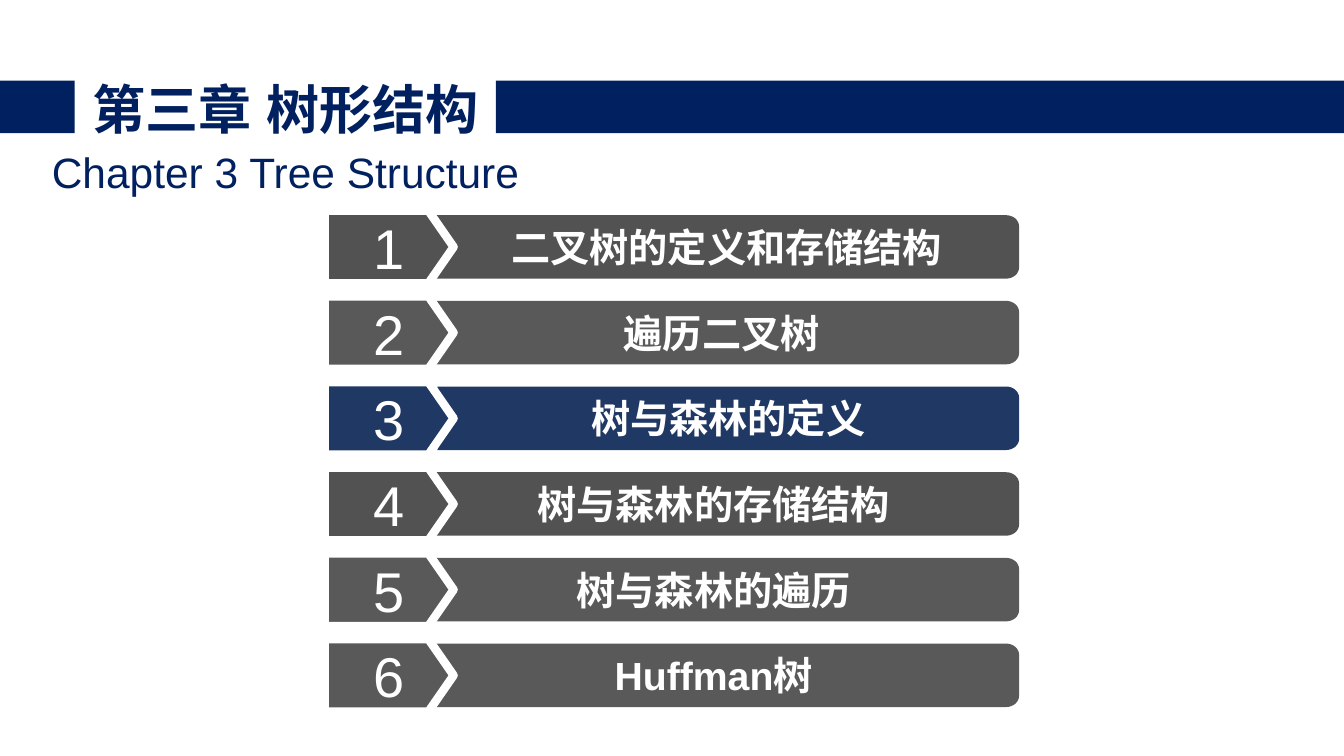
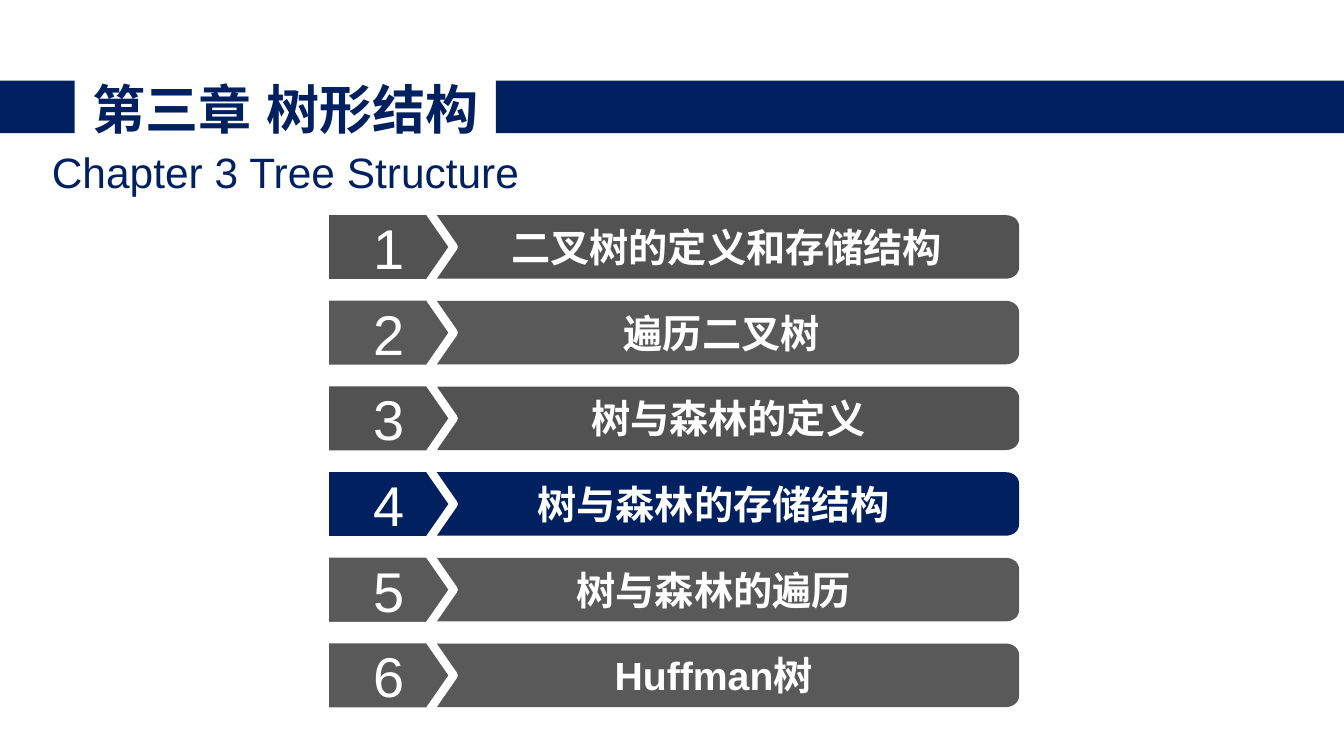
from dataclasses import dataclass
from math import cos, pi, sin

from lxml.etree import SubElement
from pptx import Presentation
from pptx.dml.color import RGBColor
from pptx.enum.shapes import MSO_SHAPE
from pptx.enum.text import MSO_ANCHOR, MSO_AUTO_SIZE, PP_ALIGN
from pptx.oxml.ns import qn
from pptx.util import Inches, Pt

# Grid: 75 rows on the slide's height and square cells
SLIDE_WIDTH, SLIDE_HEIGHT = Inches(13.333), Inches(7.5)
GRID_ROWS = 75
CELL = SLIDE_HEIGHT / GRID_ROWS
GRID_COLUMNS = SLIDE_WIDTH / CELL

# Shared style
FONT = "Arial"
NAVY, BLUE, WHITE = "002060", "203864", "FFFFFF"
DARK_GRAY, GRAY = "525252", "595959"

# Chapter list, in grid cells
FIRST_CENTER, ROW_PITCH = 24.5, 8.5
BAR_RIGHT, BAR_HEIGHT = 101.1, 6.3
CORNER_WIDTH, CORNER_HEIGHT, CORNER_STEPS = 1.3, 1.1, 8
TAG_LEFT, TAG_SHOULDER, TAG_TIP, TAG_HEIGHT = 32.2, 42.5, 45, 7.2


@dataclass(frozen=True)
class Section:
    title: str
    color: str = GRAY
    bar_left: float = 40.5
    indent: float = 0


@dataclass(frozen=True)
class Agenda:
    current: int
    highlight: str


SECTIONS = [
    Section("二叉树的定义和存储结构", DARK_GRAY, bar_left=43.1),
    Section("遍历二叉树", indent=1.6),
    Section("树与森林的定义", DARK_GRAY, bar_left=43.4),
    Section("树与森林的存储结构", DARK_GRAY),
    Section("树与森林的遍历"),
    Section("Huffman树"),
]
AGENDAS = [Agenda(3, BLUE), Agenda(4, NAVY)]


def cells(count: float) -> int:
    return round(count * CELL)


def rgb(color: str) -> RGBColor:
    return RGBColor.from_string(color)


def paint(shape, color: str, line_width: float = 0) -> None:
    shape.shadow.inherit = False
    shape.fill.solid()
    shape.fill.fore_color.rgb = rgb(color)
    if line_width:
        shape.line.color.rgb = rgb(WHITE)
        shape.line.width = Pt(line_width)
    else:
        shape.line.fill.background()


def write(shape, text: str, *, size: float, color: str = WHITE, bold: bool = False,
          anchor=MSO_ANCHOR.MIDDLE, indent: float = 0) -> None:
    frame = shape.text_frame
    frame.word_wrap = True
    frame.vertical_anchor = anchor
    frame.margin_left = cells(indent)
    frame.margin_top = frame.margin_right = frame.margin_bottom = 0
    paragraph = frame.paragraphs[0]
    paragraph.alignment = PP_ALIGN.CENTER
    run = paragraph.add_run()
    run.text = text
    run.font.size = Pt(size)
    run.font.bold = bold
    run.font.color.rgb = rgb(color)
    run.font.name = FONT
    SubElement(run.font._element, qn("a:ea")).set("typeface", FONT)


def add_band(slide, left: float, right: float) -> None:
    band = slide.shapes.add_shape(MSO_SHAPE.RECTANGLE, cells(left), cells(8),
                                  cells(right - left), cells(5.2))
    paint(band, NAVY)


def add_heading(slide, text: str, left: float, top: float, width: float,
                height: float, **text_format) -> None:
    box = slide.shapes.add_textbox(cells(left), cells(top), cells(width), cells(height))
    write(box, text, color=NAVY, **text_format)
    box.text_frame.auto_size = MSO_AUTO_SIZE.SHAPE_TO_FIT_TEXT


def add_outline(shapes, points: list[tuple[float, float]]):
    start, *others = [(cells(x), cells(y)) for x, y in points]
    builder = shapes.build_freeform(*start)
    builder.add_line_segments(others, close=True)
    return builder.convert_to_shape()


def bar_points(left: float, center: float) -> list[tuple[float, float]]:
    """Rectangle whose two right corners are rounded."""
    half = BAR_HEIGHT / 2
    angles = [pi / 2 * step / CORNER_STEPS for step in range(CORNER_STEPS + 1)]
    corner = [(BAR_RIGHT - CORNER_WIDTH * (1 - cos(angle)),
               half - CORNER_HEIGHT * (1 - sin(angle))) for angle in angles]
    lower = [(x, center + y) for x, y in corner]
    upper = [(x, center - y) for x, y in reversed(corner)]
    return [*lower, (left, center + half), (left, center - half), *upper]


def tag_points(center: float) -> list[tuple[float, float]]:
    top, bottom = center - TAG_HEIGHT / 2, center + TAG_HEIGHT / 2
    return [(TAG_LEFT, top), (TAG_SHOULDER, top), (TAG_TIP, center),
            (TAG_SHOULDER, bottom), (TAG_LEFT, bottom)]


def add_section(slide, number: int, section: Section, color: str) -> None:
    center = FIRST_CENTER + (number - 1) * ROW_PITCH
    group = slide.shapes.add_group_shape()
    bar = add_outline(group.shapes, bar_points(section.bar_left, center))
    paint(bar, color)
    write(bar, section.title, size=28, bold=True, indent=section.indent)
    tag = add_outline(group.shapes, tag_points(center))
    paint(tag, color, line_width=6)
    write(tag, str(number), size=40)


def add_agenda_slide(presentation, agenda: Agenda) -> None:
    slide = presentation.slides.add_slide(presentation.slide_layouts[6])
    # Chapter heading between two bands
    add_band(slide, 0, 7.4)
    add_heading(slide, "第三章 树形结构", 8.3, 7.5, 40.1, 6.4, size=37.9, bold=True)
    add_heading(slide, "Chapter 3 Tree Structure", 2, 14.5, 52.7, 5.1,
                size=30.3, anchor=MSO_ANCHOR.TOP)
    add_band(slide, 49.2, GRID_COLUMNS)
    # Sections, with the current one highlighted
    for number, section in enumerate(SECTIONS, start=1):
        color = agenda.highlight if number == agenda.current else section.color
        add_section(slide, number, section, color)


def main() -> None:
    presentation = Presentation()
    presentation.slide_width = SLIDE_WIDTH
    presentation.slide_height = SLIDE_HEIGHT
    for agenda in AGENDAS:
        add_agenda_slide(presentation, agenda)
    presentation.save("out.pptx")


if __name__ == "__main__":
    main()
